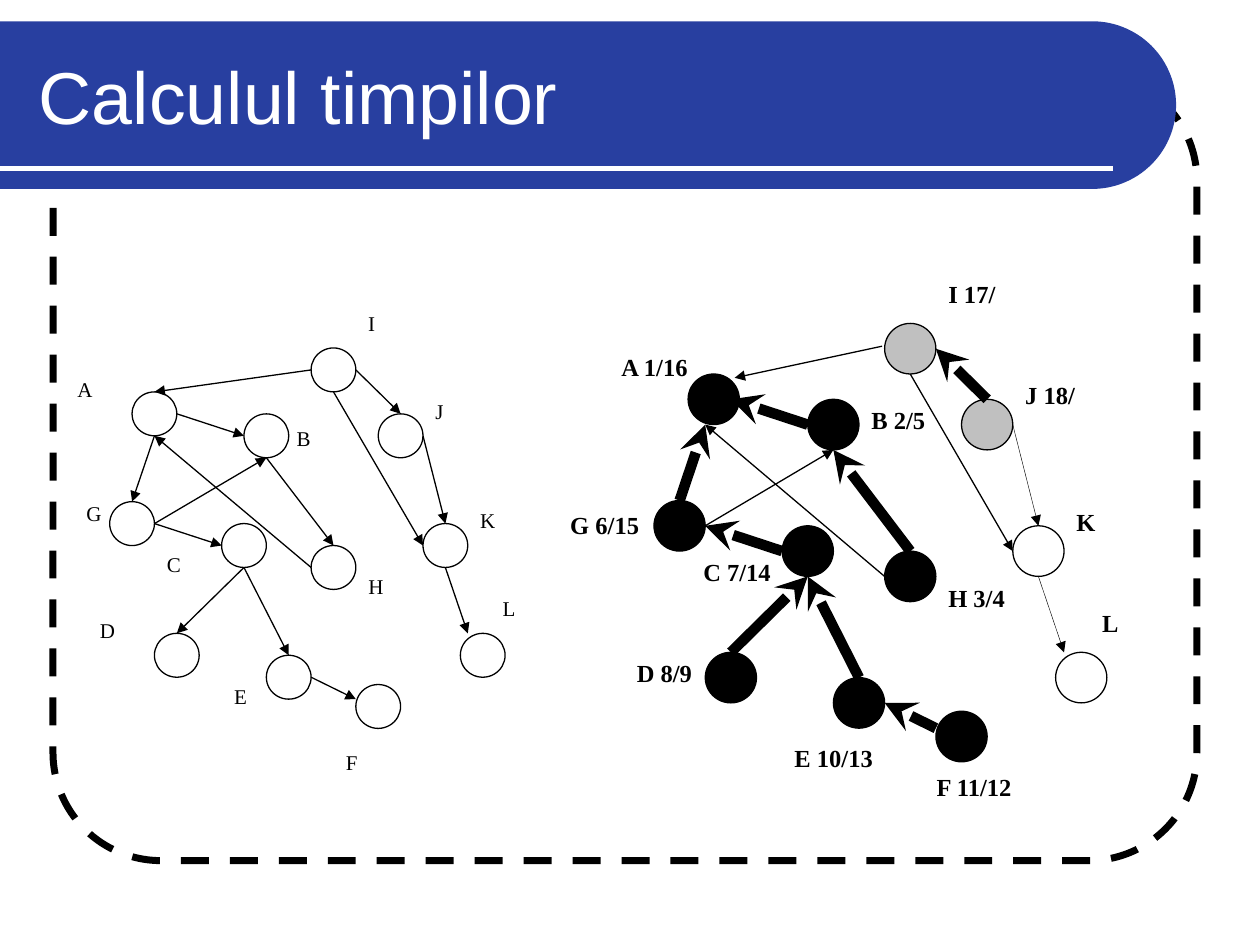
"""Build a slide that compares a graph with its depth-first search times."""
import math

from lxml import etree
from pptx import Presentation
from pptx import util as u
from pptx.dml.color import RGBColor
from pptx.enum import dml, shapes, text
from pptx.oxml.ns import qn

COLS, ROWS = 18, 16

# Node: column, row, label height in rows
NODES = {
    "A": (3, 0, 3), "G": (2, 5, 3), "B": (8, 1, 2), "I": (11, -2, 2),
    "C": (7, 6, 2), "H": (11, 7, 2), "J": (14, 1, 3), "E": (9, 12, 3),
    "K": (16, 6, 2), "F": (13, 13.33, 2), "L": (17.67, 11, 3), "D": (4, 11, 2),
}
EDGES = {
    "AB": ((5, 1), (8, 2)), "AG": ((4, 2), (3, 5)), "IA": ((11, -1), (4, 0)),
    "GC": ((4, 6), (7, 7)), "GB": ((4, 6), (9, 3)), "BH": ((9, 3), (12, 7)),
    "HA": ((11, 8), (4, 2)), "IJ": ((13, -1), (15, 1)), "IK": ((12, 0), (16, 7)),
    "JK": ((16, 2), (17, 6)), "CE": ((8, 8), (10, 12)), "CD": ((8, 8), (5, 11)),
    "EF": ((11, 13), (13, 14)), "KL": ((17, 8), (18, 11)),
}
# Label: text, column, row, width in columns
PLAIN_LABELS = {
    "A": ("A", 0, -1, 3), "G": ("G", 0.4, 4.65, 3), "C": ("C", 4, 7, 3),
    "D": ("D", 1, 10, 3), "E": ("E", 7, 13, 3), "F": ("F", 12, 16, 3),
    "B": ("B", 9.8, 1.25, 3), "H": ("H", 13, 8, 3), "I": ("I", 13, -4, 2),
    "J": ("J", 16, 0, 3), "K": ("K", 18, 5, 3), "L": ("L", 19, 9, 3),
}
TIMED_LABELS = {
    "A": ("A 1/16", 0.25, -1.1, 6), "G": ("G 6/15", -1.75, 5.13, 6),
    "C": ("C 7/14", 3.44, 7, 3.8), "D": ("D 8/9", 0.85, 11, 6),
    "E": ("E 10/13", 7, 14.35, 6), "F": ("F 11/12", 12.55, 15.5, 6),
    "B": ("B 2/5", 10, 1, 5), "H": ("H 3/4", 13, 8, 3.65),
    "I": ("I 17/", 13, -4, 5), "J": ("J 18/", 16, 0, 6),
    "K": ("K", 18, 5, 3), "L": ("L", 19, 9, 3),
}
TREE_EDGES = {"AB", "AG", "GC", "BH", "IJ", "CE", "CD", "EF"}
HAIRLINES = {"JK", "KL"}
NODE_FILLS = {"I": "C0C0C0", "J": "C0C0C0", "K": "FFFFFF", "L": "FFFFFF"}


def rgb(value):
    """Return the colour for a hex string."""
    return RGBColor.from_string(value)


def paint(sp, fill=None, line=None, width=0.75):
    """Set the fill and outline of a shape and drop its shadow."""
    sp.shadow.inherit = False
    if fill:
        sp.fill.solid()
        sp.fill.fore_color.rgb = rgb(fill)
    else:
        sp.fill.background()
    if line:
        sp.line.color.rgb = rgb(line)
        sp.line.width = u.Pt(width)
    else:
        sp.line.fill.background()


def style_text(tf, size, font, color, bold=False):
    """Format every run of a text frame."""
    for p in tf.paragraphs:
        p.alignment = text.PP_ALIGN.LEFT
        for r in p.runs:
            r.font.size, r.font.name, r.font.bold = u.Pt(size), font, bold
            r.font.color.rgb = rgb(color)


def add_line(parent, start, end, color, width, **arrows):
    """Add a straight line between two points, with optional headEnd or tailEnd."""
    cx = parent.add_connector(shapes.MSO_CONNECTOR.STRAIGHT,
                              *(u.Cm(v) for v in (*start, *end)))
    cx.line.color.rgb = rgb(color)
    cx.line.width = u.Pt(width)
    ln = cx.line._get_or_add_ln()
    for tag, kind in arrows.items():
        etree.SubElement(ln, qn("a:" + tag)).set("type", kind)
    etree.SubElement(cx._element.spPr, qn("a:effectLst"))
    return cx


def add_frame(parent):
    """Add the dashed rounded frame."""
    sp = parent.add_shape(shapes.MSO_SHAPE.ROUNDED_RECTANGLE,
                          u.Cm(1.07), u.Cm(1.47), u.Cm(23.06), u.Cm(15.88))
    sp.adjustments[0] = 0.137
    paint(sp, line="000000", width=4)
    sp.line.dash_style = dml.MSO_LINE.DASH


def add_banner(parent):
    """Add the title band with a round right end and its white rule."""
    top, center, radius, steps = 0.43, 22.02, 1.69, 60
    angles = (math.pi * i / steps for i in range(steps + 1))
    arc = [(u.Cm(center + radius * math.sin(a)),
            u.Cm(top + radius - radius * math.cos(a))) for a in angles]
    fb = parent.build_freeform(0, u.Cm(top))
    fb.add_line_segments(arc + [(0, u.Cm(top + 2 * radius))], close=True)
    paint(fb.convert_to_shape(), fill="283FA0")
    add_line(parent, (0, 3.39), (22.43, 3.39), "FFFFFF", 3)


def set_title(sp, words):
    """Place and format the title."""
    sp.left, sp.top, sp.width, sp.height = u.Cm(0.53), u.Cm(0.64), u.Cm(22.28), u.Cm(2.54)
    tf = sp.text_frame
    tf.text = words
    tf.auto_size = text.MSO_AUTO_SIZE.NONE
    tf.vertical_anchor = text.MSO_ANCHOR.MIDDLE
    style_text(tf, 42, "Arial", "FFFFFF")


def add_node(parent, at, size, fill):
    """Add the circle of a graph node."""
    sp = parent.add_shape(shapes.MSO_SHAPE.OVAL, *(u.Cm(v) for v in (*at, *size)))
    paint(sp, fill, "000000")


def add_label(parent, words, at, size, points, bold):
    """Add a node label."""
    tf = parent.add_textbox(*(u.Cm(v) for v in (*at, *size))).text_frame
    tf.word_wrap = True
    tf.text = words
    style_text(tf, points, "Times New Roman", "000000", bold)


def add_graph(parent, origin, span, labels, timed):
    """Draw the graph on its grid, marking the search tree when timed."""
    cell = (span[0] / COLS, span[1] / ROWS)

    def size(cols, rows):
        """Convert grid cells to centimetres."""
        return cols * cell[0], rows * cell[1]

    def point(col, row):
        """Convert a grid position to centimetres."""
        dx, dy = size(col, row)
        return origin[0] + dx, origin[1] + dy

    for name, (col, row, _) in NODES.items():
        fill = NODE_FILLS.get(name, "000000") if timed else "FFFFFF"
        shift = 0.33 if timed and name == "A" else 0
        add_node(parent, point(col + shift, row), size(2, 2), fill)
    for name, (start, end) in EDGES.items():
        if timed and name == "IA":
            start, end = (10.9, -1.1), (5.15, 0.15)
        if timed and name in TREE_EDGES:
            add_line(parent, point(*start), point(*end), "000000", 6, headEnd="stealth")
        else:
            width = 0.25 if timed and name in HAIRLINES else 0.75
            add_line(parent, point(*start), point(*end), "000000", width, tailEnd="triangle")
    for name, (words, col, row, cols) in labels.items():
        add_label(parent, words, point(col, row), size(cols, NODES[name][2]),
                  14 if timed else 12, timed)


def main():
    """Build and save the slide."""
    prs = Presentation()
    prs.slide_width, prs.slide_height = u.Cm(25.4), u.Cm(19.05)
    s = prs.slides.add_slide(prs.slide_layouts[5])
    title = s.shapes.title
    backdrop = s.shapes.add_group_shape()
    add_frame(backdrop.shapes)
    add_banner(backdrop.shapes)
    backdrop._element.addnext(title._element)
    set_title(title, "Calculul timpilor")
    add_graph(s.shapes.add_group_shape().shapes, (12.15, 7.54), (9.3, 8.16), TIMED_LABELS, True)
    add_graph(s.shapes.add_group_shape().shapes, (1.31, 7.9), (8.12, 7.08), PLAIN_LABELS, False)
    prs.save("out.pptx")


if __name__ == "__main__":
    main()
